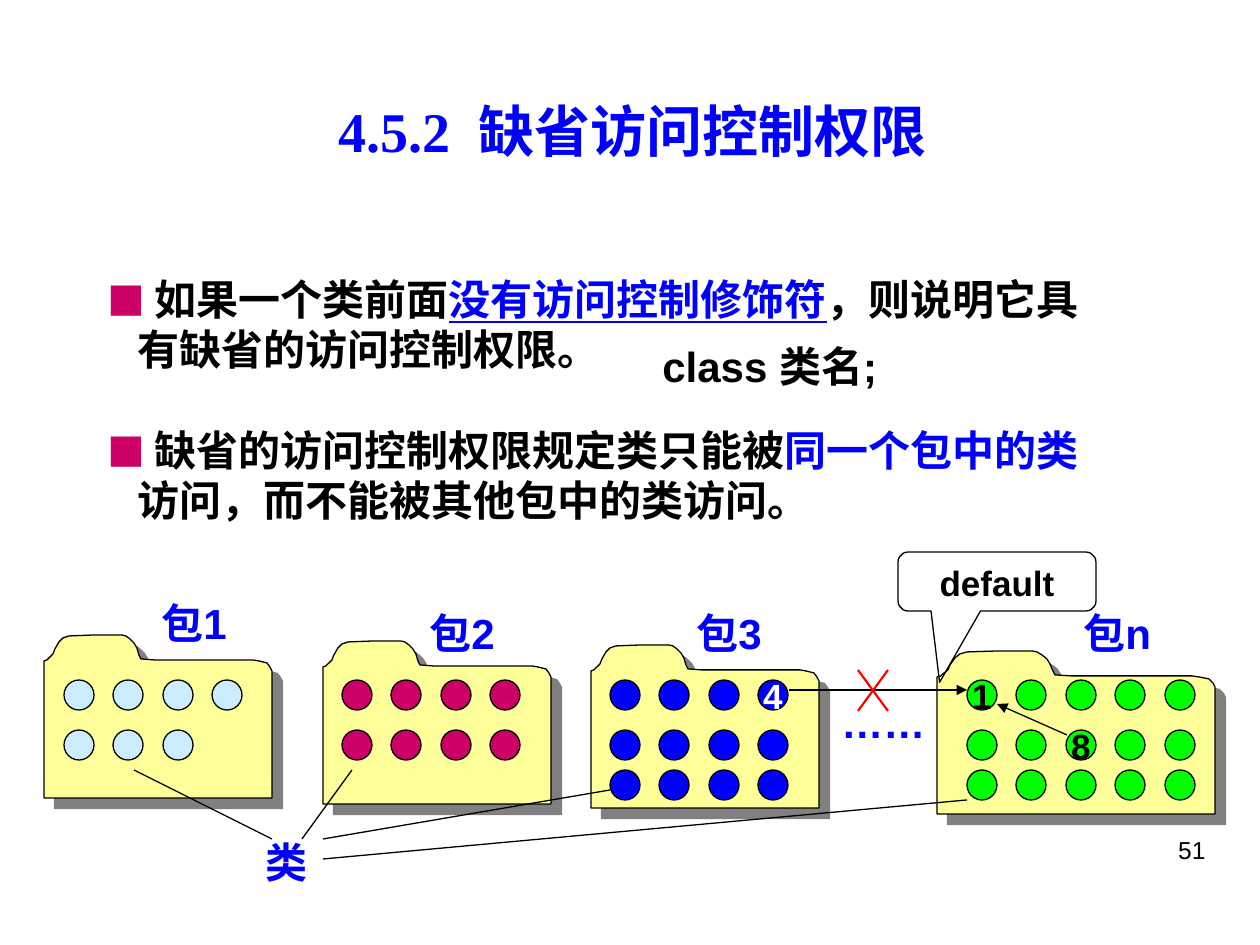
from dataclasses import dataclass

from lxml import etree
from pptx import Presentation
from pptx import util as u
from pptx.dml.color import RGBColor
from pptx.enum import shapes, text
from pptx.oxml import ns

SCALE = 914400 / 126  # EMU per px
ALIGN = text.PP_ALIGN
ANCHOR = text.MSO_ANCHOR


@dataclass(frozen=True)
class Theme:
    black: str = "000000"
    white: str = "FFFFFF"
    blue: str = "0000FF"
    red: str = "FF0000"
    crimson: str = "CC0066"
    sky: str = "CCECFF"
    green: str = "00FF00"
    folder: str = "FFFF99"
    shadow: str = "808080"
    latin: str = "Arial"
    serif: str = "Times New Roman"
    chinese: str = "Noto Sans CJK SC"
    title_size: int = 32
    body_size: int = 24
    small_size: int = 20
    number_size: int = 14
    leading: float = 28.8
    thin: float = 0.75
    thick: float = 1.25


def px(length):
    return u.Emu(round(length * SCALE))


def add_xml(parent, tag, **attributes):
    return etree.SubElement(parent, ns.qn(tag), attributes)


class SlideBuilder:
    FOLDER_OUTLINE = [
        (0, 26), (3, 25), (5, 23), (9, 19), (11, 14), (15, 7), (19, 3), (25, 1),
        (50, 0), (78, 0), (82, 1), (86, 4), (90, 8), (93, 13), (95, 20), (97, 24),
        (110, 25), (209, 25), (215, 26), (223, 28), (226, 32), (228, 36),
        (228, 163), (0, 163),
    ]
    FOLDER_WIDTH = 228

    def __init__(self, slide, theme):
        self.slide = slide
        self.theme = theme

    def place(self, shape, left, top, width, height):
        shape.left, shape.top = px(left), px(top)
        shape.width, shape.height = px(width), px(height)

    def add_run(self, paragraph, words, size, color, bold=True, font=None, underline=None):
        run = paragraph.add_run()
        run.text = words
        run.font.size = u.Pt(size)
        run.font.bold = bold
        run.font.underline = underline
        run.font.color.rgb = RGBColor.from_string(color)
        run.font.name = font or self.theme.latin
        add_xml(run.font._element, "a:ea", typeface=self.theme.chinese)

    def prepare_frame(self, shape, wrap=True, anchor=ANCHOR.TOP):
        frame = shape.text_frame
        frame.word_wrap = wrap
        frame.auto_size = text.MSO_AUTO_SIZE.NONE
        frame.vertical_anchor = anchor
        return frame

    def title(self, words, *box):
        shape = self.slide.shapes.title
        self.place(shape, *box)
        paragraph = self.prepare_frame(shape).paragraphs[0]
        paragraph.alignment = ALIGN.CENTER
        self.add_run(paragraph, words, self.theme.title_size, self.theme.blue,
                     font=self.theme.serif)

    def bullets(self, items, *box):
        """Each item is a list of (words, color, underline) runs."""
        theme = self.theme
        shape = self.slide.placeholders[1]
        self.place(shape, *box)
        frame = self.prepare_frame(shape)
        for index, item in enumerate(items):
            paragraph = frame.add_paragraph() if index else frame.paragraphs[0]
            properties = paragraph._p.get_or_add_pPr()
            properties.set("marL", str(px(30)))
            properties.set("indent", str(-px(30)))
            color = add_xml(properties, "a:buClr")
            add_xml(color, "a:srgbClr", val=theme.crimson)
            add_xml(properties, "a:buSzPct", val="90000")
            add_xml(properties, "a:buFont", typeface=theme.chinese)
            add_xml(properties, "a:buChar", char="■")
            paragraph.line_spacing = u.Pt(theme.leading)
            paragraph.space_before = u.Pt(theme.leading if index else 0)
            for words, run_color, underline in item:
                self.add_run(paragraph, words, theme.body_size, run_color,
                             font=theme.chinese, underline=underline)

    def label(self, words, left, top, width, height=63, size=None, color=None,
              bold=True, align=ALIGN.LEFT, wrap=False):
        shape = self.slide.shapes.add_textbox(px(left), px(top), px(width), px(height))
        paragraph = self.prepare_frame(shape, wrap).paragraphs[0]
        paragraph.alignment = align
        self.add_run(paragraph, words, size or self.theme.body_size,
                     color or self.theme.blue, bold)

    def outline(self, shape, fill=None):
        shape.shadow.inherit = False
        if fill:
            shape.fill.solid()
            shape.fill.fore_color.rgb = RGBColor.from_string(fill)
        else:
            shape.fill.background()
        shape.line.color.rgb = RGBColor.from_string(self.theme.black)
        shape.line.width = u.Pt(self.theme.thin)

    def folder(self, left, top, width):
        stretch = width / self.FOLDER_WIDTH
        points = [(left + x * stretch, top + y) for x, y in self.FOLDER_OUTLINE]
        builder = self.slide.shapes.build_freeform(*points[0], scale=SCALE)
        builder.add_line_segments(points[1:], close=True)
        shape = builder.convert_to_shape()
        self.outline(shape, self.theme.folder)
        effects = shape._element.spPr.find(ns.qn("a:effectLst"))
        shadow = add_xml(effects, "a:outerShdw", dist=str(u.Pt(8.5)), dir="2700000",
                         algn="ctr", rotWithShape="0")
        add_xml(shadow, "a:srgbClr", val=self.theme.shadow)

    def preset(self, kind, left, top, width, height, fill=None, words="",
               color=None, wrap=True, anchor=ANCHOR.TOP):
        shape = self.slide.shapes.add_shape(kind, px(left), px(top), px(width), px(height))
        self.outline(shape, fill)
        if words:
            paragraph = self.prepare_frame(shape, wrap, anchor).paragraphs[0]
            paragraph.alignment = ALIGN.CENTER
            self.add_run(paragraph, words, self.theme.small_size, color or self.theme.black)
        return shape

    def class_dots(self, left, counts, fill, numbers, number_color):
        """Rows of dots; numbers maps (row, column) to the digit inside."""
        for row, (top, count) in enumerate(zip((680, 730, 770), counts)):
            for column in range(count):
                self.preset(shapes.MSO_SHAPE.FLOWCHART_CONNECTOR,
                            left + column * 99 // 2, top, 30, 30, fill,
                            numbers.get((row, column), ""), number_color,
                            wrap=False, anchor=ANCHOR.MIDDLE)

    def line(self, start, end, color=None, width=None, arrow=False):
        connector = self.slide.shapes.add_connector(
            shapes.MSO_CONNECTOR.STRAIGHT, *map(px, start + end))
        connector.line.color.rgb = RGBColor.from_string(color or self.theme.black)
        connector.line.width = u.Pt(width or self.theme.thin)
        if arrow:
            add_xml(connector.line._get_or_add_ln(), "a:tailEnd", type="triangle")
        add_xml(connector._element.spPr, "a:effectLst")


def main():
    theme = Theme()
    presentation = Presentation()
    presentation.slide_width, presentation.slide_height = px(1260), px(945)
    slide = presentation.slides.add_slide(presentation.slide_layouts[1])
    build = SlideBuilder(slide, theme)

    build.title("4.5.2  缺省访问控制权限", 44, 90, 1177, 110)
    build.bullets([
        [(" 如果一个类前面", theme.black, None),
         ("没有访问控制修饰符", theme.blue, True),
         ("，则说明它具有缺省的访问控制权限。", theme.black, None)],
        [(" 缺省的访问控制权限规定类只能被", theme.black, None),
         ("同一个包中的类", theme.blue, None),
         ("访问，而不能被其他包中的类访问。", theme.black, None)],
    ], 95, 267, 1029, 265)
    build.label("class 类名;", 650, 334, 260, color=theme.black)

    packages = [
        # name, label position, folder box, dots left, counts, fill, numbers, number color
        ("包1", (149, 591), (44, 635, 228), 64, (4, 3), theme.sky, {}, None),
        ("包2", (417, 601), (323, 641, 228), 342, (4, 4), theme.crimson, {}, None),
        ("包3", (684, 601), (591, 645, 228), 610, (4, 4, 4), theme.blue,
         {(0, 3): "4"}, theme.white),
        ("包n", (1071, 601), (937, 651, 278), 967, (5, 5, 5), theme.green,
         {(0, 0): "1", (1, 2): "8"}, theme.black),
    ]
    for name, position, folder, left, counts, fill, numbers, number_color in packages:
        build.folder(*folder)
        build.class_dots(left, counts, fill, numbers, number_color)
        build.label(name, *position, 101)

    build.label("……", 829, 690, 108)
    build.label("类", 253, 830, 67)
    for start, end in [((134, 770), (272, 839)), ((352, 770), (302, 839)),
                       ((323, 839), (610, 790)), ((323, 859), (967, 800))]:
        build.line(start, end)
    build.line((789, 690), (967, 690), arrow=True)
    build.line((1067, 735), (997, 704), arrow=True)
    for start, end in [((858, 670), (888, 711)), ((888, 670), (858, 711))]:
        build.line(start, end, theme.red, theme.thick)

    callout = build.preset(shapes.MSO_SHAPE.ROUNDED_RECTANGULAR_CALLOUT,
                           898, 552, 198, 59, words="default")
    for index, value in enumerate((-0.29, 1.71, 0.17)):
        callout.adjustments[index] = value
    build.label("51", 903, 829, 315, 66, theme.number_size, theme.black,
                bold=False, align=ALIGN.RIGHT, wrap=True)
    presentation.save("out.pptx")


if __name__ == "__main__":
    main()
